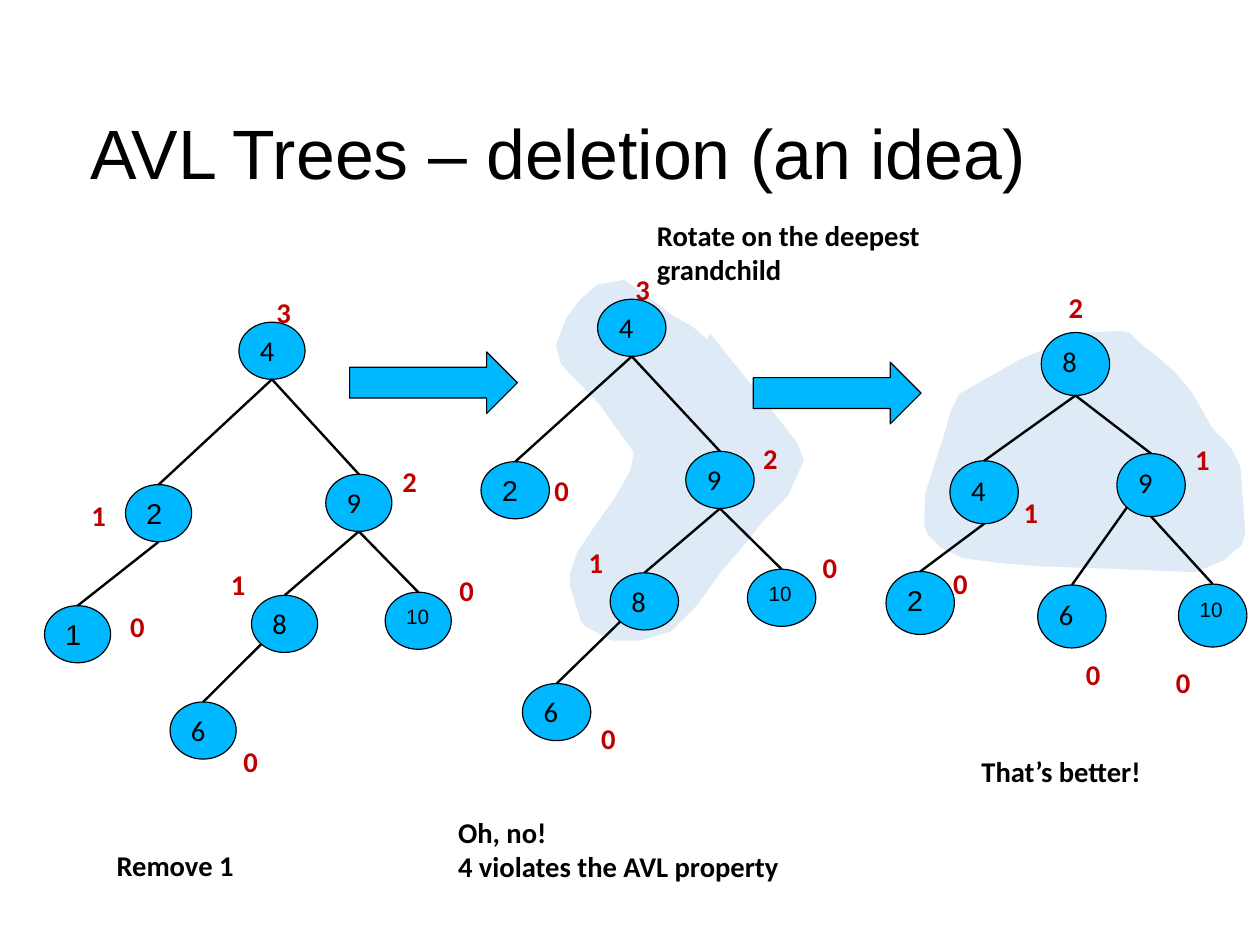
from dataclasses import dataclass

from pptx import Presentation
from pptx.dml.color import RGBColor
from pptx.enum.shapes import MSO_CONNECTOR, MSO_SHAPE
from pptx.enum.text import MSO_ANCHOR, PP_ALIGN
from pptx.oxml.ns import qn
from pptx.util import Cm, Pt

ARROW, OVAL = MSO_SHAPE.RIGHT_ARROW, MSO_SHAPE.OVAL
LINE = MSO_CONNECTOR.STRAIGHT
LEFT = PP_ALIGN.LEFT
TOP, MIDDLE = MSO_ANCHOR.TOP, MSO_ANCHOR.MIDDLE


@dataclass(frozen=True)
class Theme:
    ink: RGBColor = RGBColor(0, 0, 0)
    node: RGBColor = RGBColor(0x00, 0xB8, 0xFF)
    shade: RGBColor = RGBColor(0xDE, 0xEB, 0xF7)
    edge: RGBColor = RGBColor(0xFF, 0xFF, 0xFF)
    rank: RGBColor = RGBColor(0xC0, 0, 0)
    head: Pt = Pt(44)
    body: Pt = Pt(18)
    small: Pt = Pt(13)
    thin: Pt = Pt(0.75)
    thick: Pt = Pt(1.5)
    sans: str = "Arial"
    main: str = "Calibri"


theme = Theme()


def paint(shape, fill, line):
    shape.shadow.inherit = False
    shape.fill.solid()
    shape.fill.fore_color.rgb = fill
    shape.line.color.rgb = line
    shape.line.width = theme.thin


def note(shapes, words, box, color, wrap):
    """Add a bold text box, one paragraph per line of words."""
    frame = shapes.add_textbox(*map(Cm, box)).text_frame
    frame.word_wrap = wrap
    frame.text = words
    for para in frame.paragraphs:
        font = para.font
        font.name, font.size, font.bold = theme.main, theme.body, True
        font.color.rgb = color


deck = Presentation()
deck.slide_width, deck.slide_height = Cm(28), Cm(21)
slide = deck.slides.add_slide(deck.slide_layouts[5])

# Shaded regions around the rotated nodes
bent = [
    (15.77, 7.37), (17.45, 9.47), (17.73, 9.83), (17.88, 10.24),
    (17.53, 11.02), (16.94, 11.63), (16.43, 12.27), (16.05, 12.7),
    (15.52, 13.44), (14.91, 14.05), (14.25, 14.25), (13.59, 14.25),
    (12.98, 13.92), (12.9, 13.82), (12.65, 13.03), (12.65, 12.75),
    (12.81, 12.27), (13.13, 11.79), (13.67, 11.02), (14, 10.44),
    (14.07, 10.06), (13.31, 9), (12.45, 8.1), (12.34, 7.67),
    (12.57, 7.06), (12.88, 6.65), (13.26, 6.32), (13.87, 6.2),
    (14.55, 6.68), (14.94, 6.99), (15.39, 7.24), (15.72, 7.52),
]
domed = [
    (21.31, 8.74), (22.63, 7.99), (24.03, 7.39), (24.84, 7.34),
    (25.1, 7.37), (25.35, 7.62), (25.68, 7.87), (26.14, 8.28),
    (26.49, 8.69), (26.75, 9.14), (26.97, 9.53), (27.2, 9.75),
    (27.41, 10.01), (27.58, 10.36), (27.69, 11.84), (27.61, 12.12),
    (27.2, 12.47), (26.57, 12.73), (25.83, 12.7), (24.59, 12.65),
    (23.09, 12.6), (22.17, 12.52), (21.39, 12.42), (20.9, 12.19),
    (20.6, 11.89), (20.52, 11.66), (20.55, 10.95), (20.73, 10.39),
    (20.96, 9.68), (21.11, 9.14),
]
for points in (bent, domed):
    spots = [(Cm(x), Cm(y)) for x, y in points]
    pen = slide.shapes.build_freeform(*spots[0])
    pen.add_line_segments(spots[1:])
    paint(pen.convert_to_shape(), theme.shade, theme.edge)

# Title
title = slide.shapes.title
title.left, title.top = Cm(2.01), Cm(1.57)
title.width, title.height = Cm(23.5), Cm(3.48)
frame = title.text_frame
frame.text = "AVL Trees – deletion (an idea)"
frame.vertical_anchor = MIDDLE
frame.margin_left = frame.margin_right = frame.margin_bottom = 0
frame.margin_top = Cm(0.1)
para = frame.paragraphs[0]
para.alignment = LEFT
para.font.name, para.font.size = theme.sans, theme.head
para.font.color.rgb = theme.ink

# Arrows between the trees
for x, y in ((7.77, 7.82), (16.74, 8.05)):
    arrow = slide.shapes.add_shape(ARROW, Cm(x), Cm(y), Cm(3.73), Cm(1.37))
    paint(arrow, theme.node, theme.ink)

# Trees: node size, then key, parent, node place, height, height place
trees = [
    (1.47, 1.27, [
        ("4", None, 5.31, 7.16, "3", 5.89, 6.43),
        ("2", "4", 2.79, 10.77, "1", 1.78, 10.95),
        ("9", "4", 7.24, 10.54, "2", 8.69, 10.19),
        ("1", "2", 0.99, 13.46, "0", 2.64, 13.41),
        ("8", "9", 5.59, 13.23, "1", 4.88, 12.47),
        ("10", "9", 8.56, 13.16, "0", 9.96, 12.6),
        ("6", "8", 3.78, 15.6, "0", 5.16, 16.41),
    ]),
    (1.52, 1.27, [
        ("4", None, 13.28, 6.65, "3", 13.87, 5.92),
        ("2", "4", 10.69, 10.26, "0", 12.07, 10.39),
        ("9", "4", 15.24, 10.03, "2", 16.71, 9.68),
        ("8", "9", 13.56, 12.73, "1", 12.83, 11.99),
        ("10", "9", 16.61, 12.65, "0", 18.03, 12.09),
        ("6", "8", 11.61, 15.19, "0", 13.11, 15.9),
    ]),
    (1.52, 1.4, [
        ("8", None, 23.14, 7.39, "2", 23.5, 6.32),
        ("4", "8", 21.11, 10.24, "1", 22.5, 10.87),
        ("9", "8", 24.82, 10.08, "1", 26.31, 9.7),
        ("2", "4", 19.69, 12.7, "0", 20.93, 12.45),
        ("6", "9", 23.06, 13, "0", 23.88, 14.48),
        ("10", "9", 26.19, 12.98, "0", 25.88, 14.66),
    ]),
]
for wide, high, rows in trees:
    group = slide.shapes.add_group_shape().shapes
    nodes = {}
    for key, parent, x, y, rank, rank_x, rank_y in rows:
        node = group.add_shape(OVAL, Cm(x), Cm(y), Cm(wide), Cm(high))
        nodes[key] = node
        paint(node, theme.node, theme.ink)
        frame = node.text_frame
        frame.text = key
        frame.vertical_anchor = TOP
        para = frame.paragraphs[0]
        para.alignment, para.line_spacing = LEFT, 0.93
        font = para.font
        font.name = theme.sans if key in ("1", "2", "10") else theme.main
        font.size = theme.small if key == "10" else theme.body
        font.color.rgb = theme.ink
        note(group, rank, (rank_x, rank_y, 0.86, 0.97), theme.rank, False)
        if parent:
            # Node 6 hangs from the lower left of its parent
            across, down = (0.15, 0.85) if key == "6" else (0.5, 1)
            base = nodes[parent]
            start_x = base.left + int(base.width * across)
            start_y = base.top + int(base.height * down)
            link = group.add_connector(LINE, start_x, start_y, node.left, node.top)
            link.end_connect(node, 0)
            link.line.color.rgb = theme.ink
            link.line.width = theme.thick
            props = link._element.spPr
            props.append(props.makeelement(qn("a:effectLst"), {}))

# Captions
captions = [
    ("Remove 1", (2.34, 18.72, 4.37, 0.97)),
    ("Oh, no!\n4 violates the AVL property", (9.93, 17.98, 8.66, 1.68)),
    ("That’s better!", (21.56, 16.64, 6.4, 0.97)),
    ("Rotate on the deepest grandchild", (14.35, 4.72, 8.59, 1.7)),
]
for words, box in captions:
    note(slide.shapes, words, box, theme.ink, True)

deck.save("out.pptx")
